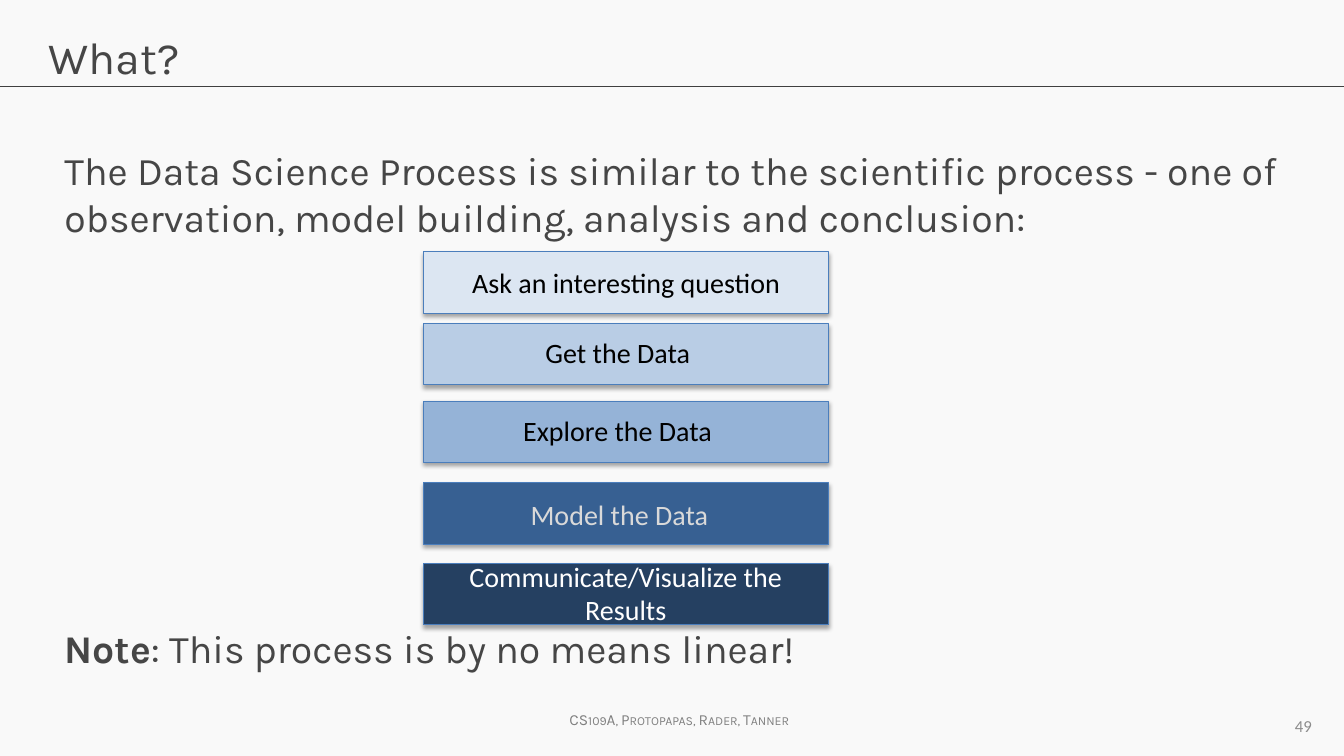
from lxml.etree import SubElement
from pptx import Presentation
from pptx.dml.color import RGBColor
from pptx.enum.shapes import MSO_CONNECTOR, MSO_SHAPE
from pptx.enum.text import MSO_ANCHOR, MSO_AUTO_SIZE, PP_ALIGN
from pptx.oxml.ns import qn
from pptx.util import Cm, Pt

COLORS = {
    "background": "F9F9F9", "rule": "404040", "text": "464646",
    "footer": "808080", "number": "8C8C8C", "outline": "4B7EBC",
    "shadow": "000000", "black": "000000", "light": "D9D9D9", "white": "FFFFFF",
    "step1": "DCE6F2", "step2": "B9CDE5", "step3": "95B3D7",
    "step4": "376092", "step5": "254061",
}

# Label text, text colour, bar fill, bar top, label box inside the bar (None: whole bar)
STEPS = [
    ("Ask an interesting question", "black", "step1", 0, None),
    ("Get the Data", "black", "step2", 1.8, (2.61, 0.18, 4.57, 1.12)),
    ("Explore the Data", "black", "step3", 3.76, (1.98, 0.18, 5.82, 1.12)),
    ("Model the Data", "light", "step4", 5.82, (2.18, 0.23, 5.51, 1.12)),
    ("Communicate/Visualize the Results", "white", "step5", 7.85,
     (0.13, -0.23, 9.93, 1.96)),
]


def color(name):
    return RGBColor.from_string(COLORS[name])


def lengths(box):
    return [Cm(value) for value in box]


def place(shape, box):
    shape.left, shape.top, shape.width, shape.height = lengths(box)


def style(para, font, size, tint, align=PP_ALIGN.LEFT):
    para.alignment = align
    for span in para.runs:
        span.font.name = font
        span.font.size = Pt(size)
        span.font.color.rgb = color(tint)


def add_label(page, box, text, font, size, tint, align, wrap=True):
    label = page.shapes.add_textbox(*lengths(box))
    label.text_frame.word_wrap = wrap
    label.text_frame.text = text
    style(label.text_frame.paragraphs[0], font, size, tint, align)
    return label


def add_shadow(shape):
    shape.shadow.inherit = False
    effects = shape.element.spPr.find(qn("a:effectLst"))
    shadow = SubElement(effects, qn("a:outerShdw"), blurRad="39400",
                        dist="22900", dir="5400000", rotWithShape="0")
    tint = SubElement(shadow, qn("a:srgbClr"), val=COLORS["shadow"])
    SubElement(tint, qn("a:alpha"), val="35000")


def add_title(page, box):
    title = page.shapes.title
    place(title, box)
    frame = title.text_frame
    frame.text = "What?"
    frame.auto_size = MSO_AUTO_SIZE.NONE
    frame.vertical_anchor = MSO_ANCHOR.TOP
    style(frame.paragraphs[0], "Karla", 32, "text")


def add_body(page, box):
    body = page.placeholders[1]
    place(body, box)
    frame = body.text_frame
    frame.text = ("The Data Science Process is similar to the scientific process - "
                  "one of observation, model building, analysis and conclusion:")
    frame.auto_size = MSO_AUTO_SIZE.NONE
    note = frame.add_paragraph()
    for text, bold in (("Note", True), (": This process is by no means linear!", False)):
        span = note.add_run()
        span.text = text
        span.font.bold = bold
    # The space before the note leaves room for the steps
    for para, before in zip(frame.paragraphs, (0, 262)):
        properties = para._p.get_or_add_pPr()
        properties.set("marL", "0")
        properties.set("indent", "0")
        SubElement(properties, qn("a:buNone"))
        para.space_before = Pt(before)
        para.space_after = Pt(12)
        style(para, "Karla", 28, "text")


def add_steps(page, box):
    left, top, width, height = box
    bars = []
    for text, tint, fill, offset, label_box in STEPS:
        bar = page.shapes.add_shape(
            MSO_SHAPE.RECTANGLE, *lengths((left, top + offset, width, height)))
        bar.fill.solid()
        bar.fill.fore_color.rgb = color(fill)
        bar.line.color.rgb = color("outline")
        bar.line.width = Pt(0.75)
        add_shadow(bar)
        bars.append(bar)
    for bar, (text, tint, fill, offset, label_box) in zip(bars, STEPS):
        if label_box is None:
            bar.text_frame.text = text
            bar.text_frame.vertical_anchor = MSO_ANCHOR.MIDDLE
            style(bar.text_frame.paragraphs[0], "Calibri", 20, tint, PP_ALIGN.CENTER)
        else:
            dx, dy, label_width, label_height = label_box
            add_label(page, (left + dx, top + offset + dy, label_width, label_height),
                      text, "Calibri", 20, tint, PP_ALIGN.CENTER)


def add_rule(page, box):
    left, top, width, height = box
    rule = page.shapes.add_connector(
        MSO_CONNECTOR.STRAIGHT, *lengths((left, top, left + width, top + height)))
    rule.line.color.rgb = color("rule")
    rule.line.width = Pt(0.75)
    SubElement(rule.element.spPr, qn("a:effectLst"))


def add_footer(page, box):
    left, top, width, height = box
    credit = add_label(page, (left, top, 6.35, 0.74), "CS109A, Protopapas, Rader, Tanner",
                       "Karla", 11, "footer", PP_ALIGN.CENTER, wrap=False)
    span = credit.text_frame.paragraphs[0].runs[0]
    span._r.get_or_add_rPr().set("cap", "small")
    number = add_label(page, (left + width - 7.9, top, 7.9, height), "49",
                       "Calibri", 12, "number", PP_ALIGN.RIGHT)
    number.text_frame.vertical_anchor = MSO_ANCHOR.MIDDLE


def main():
    deck = Presentation()
    deck.slide_width, deck.slide_height = Cm(33.86), Cm(19.05)
    page = deck.slides.add_slide(deck.slide_layouts[1])
    page.background.fill.solid()
    page.background.fill.fore_color.rgb = color("background")
    add_rule(page, (0, 2.19, 33.86, 0))
    add_title(page, (0.97, 0.61, 31.93, 2.13))
    add_body(page, (1.37, 3.56, 31.17, 14.22))
    add_steps(page, (10.67, 6.35, 10.21, 1.55))
    add_footer(page, (13.94, 17.78, 19.36, 1.02))
    deck.save("out.pptx")


if __name__ == "__main__":
    main()
